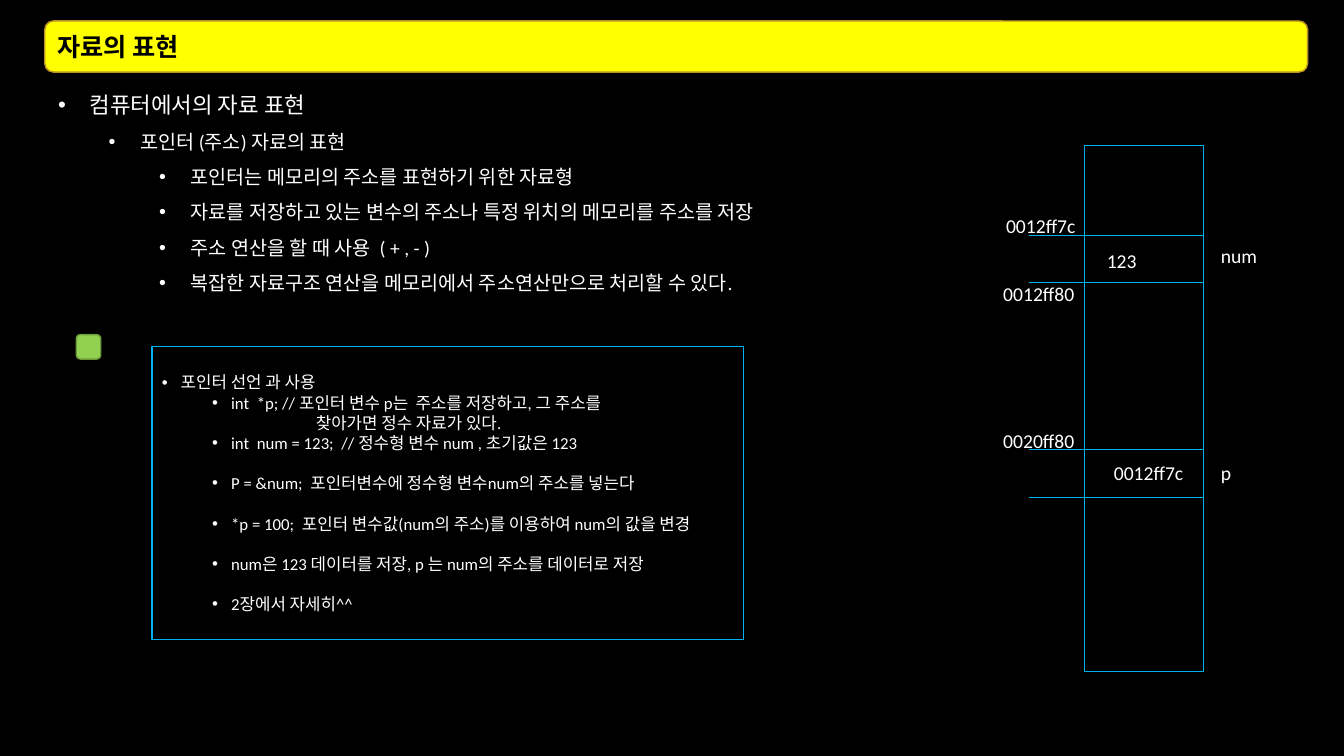
from lxml.etree import SubElement
from pptx import Presentation
from pptx.dml.color import RGBColor
from pptx.enum.shapes import MSO_CONNECTOR as CONN, MSO_SHAPE as SHAPE
from pptx.enum.text import MSO_ANCHOR as ANCHOR, PP_ALIGN as ALIGN
from pptx.oxml.ns import qn
from pptx.util import Pt

BLACK, WHITE, YELLOW, CYAN = "000000", "FFFFFF", "FFFF00", "00B0F0"
OCHRE, GREEN, DARK_GREEN = "B79024", "92D050", "6C9A3B"


def color(value):
    return RGBColor.from_string(value)


class Deck:
    """Draws elements on the current slide in one shared style, in points."""

    font = "Calibri"

    def __init__(self, width, height):
        self.prs = Presentation()
        self.prs.slide_width, self.prs.slide_height = Pt(width), Pt(height)

    def add_slide(self, background):
        self.s = self.prs.slides.add_slide(self.prs.slide_layouts[6])
        fill = self.s.background.fill
        fill.solid()
        fill.fore_color.rgb = color(background)

    def shape(self, kind, x, y, w, h, line, fill=None, anchor=ANCHOR.MIDDLE):
        sp = self.s.shapes.add_shape(kind, Pt(x), Pt(y), Pt(w), Pt(h))
        sp.shadow.inherit = False
        if fill:
            sp.fill.solid()
            sp.fill.fore_color.rgb = color(fill)
        else:
            sp.fill.background()
        sp.line.color.rgb = color(line)
        sp.line.width = Pt(1)
        tf = sp.text_frame
        tf.word_wrap = True
        tf.vertical_anchor = anchor
        return tf

    def run(self, p, text, size, ink=WHITE, bold=False):
        r = p.add_run()
        r.text = text
        r.font.name, r.font.size, r.font.bold = self.font, Pt(size), bold
        r.font.color.rgb = color(ink)

    def paragraph(self, tf, text, size, ink=WHITE, bold=False, level=0,
                  left=0, hang=0, spacing=None, before=0):
        p = tf.paragraphs[0] if not tf.text else tf.add_paragraph()
        p.alignment, p.level = ALIGN.LEFT, level
        p.line_spacing, p.space_before = spacing, Pt(before)
        pPr = p._p.get_or_add_pPr()
        pPr.set("marL", str(Pt(left)))
        pPr.set("indent", str(Pt(-hang)))
        if hang:
            SubElement(pPr, qn("a:buFont"), typeface="Arial")
            SubElement(pPr, qn("a:buChar"), char="•")
        self.run(p, text, size, ink, bold)

    def label(self, x, y, text, w=68, h=24.24, size=14):
        sp = self.s.shapes.add_textbox(Pt(x), Pt(y), Pt(w), Pt(h))
        sp.text_frame.word_wrap = True
        self.run(sp.text_frame.paragraphs[0], text, size)

    def rule(self, x1, x2, y, ink):
        sp = self.s.shapes.add_connector(CONN.STRAIGHT, Pt(x1), Pt(y), Pt(x2), Pt(y))
        sp.line.color.rgb = color(ink)
        sp.line.width = Pt(0.5)
        SubElement(sp._element.spPr, qn("a:effectLst"))


OUTLINE = [
    (0, 16, "컴퓨터에서의 자료 표현"),
    (1, 14, "포인터 (주소) 자료의 표현"),
    (2, 14, "포인터는 메모리의 주소를 표현하기 위한 자료형"),
    (2, 14, "자료를 저장하고 있는 변수의 주소나 특정 위치의 메모리를 주소를 저장"),
    (2, 14, "주소 연산을 할 때 사용  ( + , - )"),
    (2, 14, "복잡한 자료구조 연산을 메모리에서 주소연산만으로 처리할 수 있다."),
]
CODE_NOTES = [
    (0, 13.5, 13.5, 0, "포인터 선언 과 사용"),
    (1, 49.5, 13.5, 0, "int  *p; // 포인터 변수 p는  주소를 저장하고, 그 주소를"),
    (1, 110, 0, 0, "찾아가면 정수 자료가 있다."),
    (1, 49.5, 13.5, 0, "int  num = 123;  // 정수형 변수 num , 초기값은 123"),
    (1, 49.5, 13.5, 14.4, "P = &num;  포인터변수에 정수형 변수num의 주소를 넣는다"),
    (1, 49.5, 13.5, 14.4, "*p = 100;  포인터 변수값(num의 주소)를 이용하여 num의 값을 변경"),
    (1, 49.5, 13.5, 14.4, "num은 123 데이터를 저장, p 는 num의 주소를 데이터로 저장"),
    (1, 49.5, 13.5, 14.4, "2장에서 자세히^^"),
]
CELL_EDGES = [168, 202, 321, 355]
MEMORY_LABELS = [
    (711.5, 149, "0012ff7c"), (709.5, 197.5, "0012ff80"), (709.5, 302.5, "0020ff80"),
    (865, 171, "num"), (865, 326, "p"),
    (783.5, 174.5, "123"), (788.5, 326, "0012ff7c"),
]


def main():
    deck = Deck(960, 540)
    deck.add_slide(BLACK)

    body = deck.shape(SHAPE.RECTANGLE, 34.5, 52, 899, 465, BLACK, BLACK, ANCHOR.TOP)
    for level, size, text in OUTLINE:
        deck.paragraph(body, text, size, level=level, left=22.5 + 36 * level,
                       hang=22.5, spacing=1.5)

    title = deck.shape(SHAPE.ROUNDED_RECTANGLE, 32, 15, 902, 36.5, OCHRE, YELLOW)
    deck.paragraph(title, "자료의 표현", 18, BLACK, bold=True)

    notes = deck.shape(SHAPE.RECTANGLE, 108.5, 247.5, 422.5, 209.5, CYAN)
    for level, left, hang, before, text in CODE_NOTES:
        deck.paragraph(notes, text, 12, level=level, left=left, hang=hang, before=before)

    deck.shape(SHAPE.RECTANGLE, 774.5, 104, 85, 375.5, CYAN)
    for y in CELL_EDGES:
        deck.rule(735, 859.5, y, CYAN)
    for x, y, text in MEMORY_LABELS:
        deck.label(x, y, text)

    deck.shape(SHAPE.ROUNDED_RECTANGLE, 54.5, 239, 17.5, 17.5, DARK_GREEN, GREEN)
    deck.prs.save("out.pptx")


if __name__ == "__main__":
    main()
